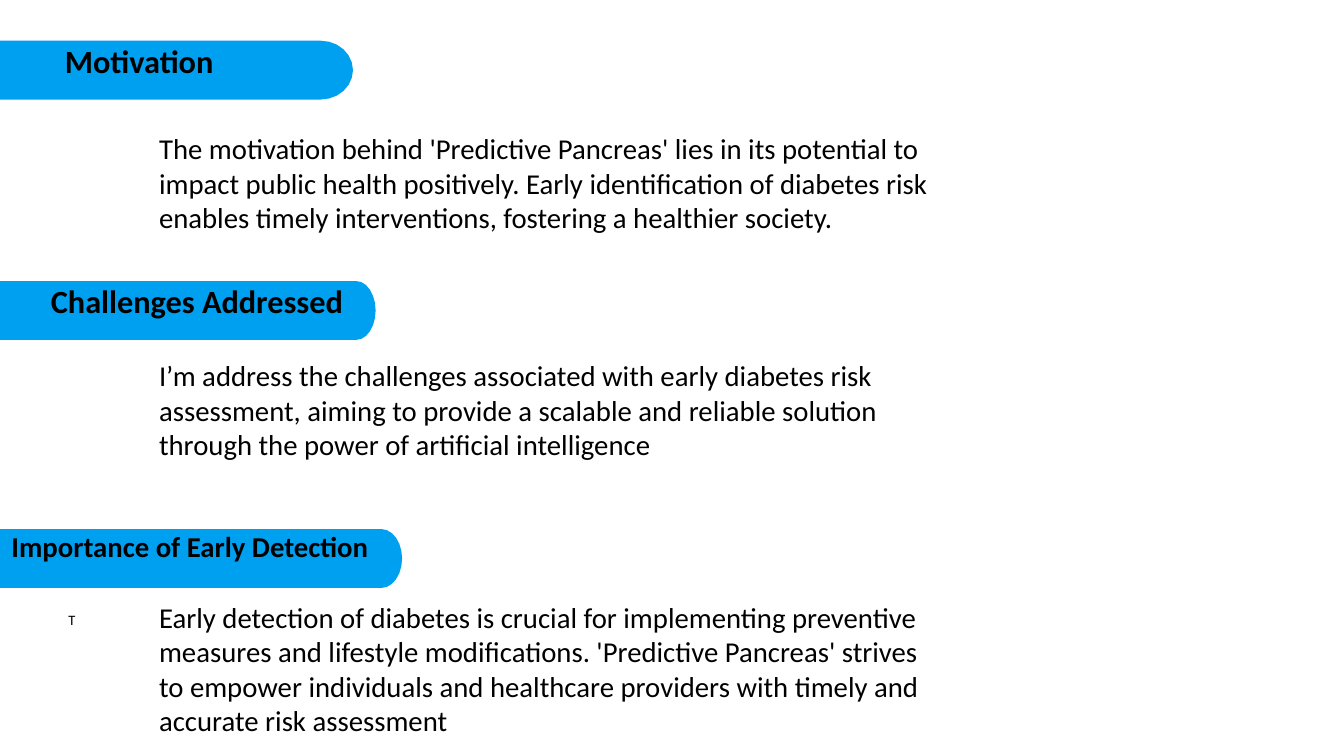
import math

import pptx
import pptx.dml.color
import pptx.enum.text
import pptx.util

Cm = pptx.util.Cm
Pt = pptx.util.Pt
BANNER_HEIGHT = 2.31
ARC_STEPS = 12

# title, size, left, top, width, cap radius, text indent (cm)
BANNERS = [
    ("Motivation", 36, -0.05, 1.6, 13.92, 1.27, 2.6),
    ("Challenges Addressed", 36, 0, 11.04, 14.76, 0.76, 2),
    ("Importance of Early Detection", 32, -0.05, 20.78, 15.85, 0.81, 0.5),
]

# text, top, width, height (cm)
BODIES = [
    ("The motivation behind 'Predictive Pancreas' lies in its potential to "
     "impact public health positively. Early identification of diabetes risk "
     "enables timely interventions, fostering a healthier society.",
     5.03, 33.58, 4.37),
    ("I’m address the challenges associated with early diabetes risk "
     "assessment, aiming to provide a scalable and reliable solution "
     "through the power of artificial intelligence",
     13.94, 31.09, 4.37),
    ("Early detection of diabetes is crucial for implementing preventive "
     "measures and lifestyle modifications. 'Predictive Pancreas' strives "
     "to empower individuals and healthcare providers with timely and "
     "accurate risk assessment",
     23.42, 31.09, 5.74),
]


def rgb(value):
    return pptx.dml.color.RGBColor.from_string(value)


def set_text(tf, text, size, bold=False):
    tf.word_wrap = True
    tf.vertical_anchor = pptx.enum.text.MSO_ANCHOR.TOP
    p = tf.paragraphs[0]
    p.text = text
    p.alignment = pptx.enum.text.PP_ALIGN.LEFT
    p.font.name = "Calibri"
    p.font.size = Pt(size)
    p.font.bold = bold
    p.font.color.rgb = rgb("000000")
    return p


def set_margins(tf, left=0, top=0):
    tf.margin_left, tf.margin_top = Cm(left), Cm(top)
    tf.margin_right = tf.margin_bottom = 0


def add_banner(slide, title, size, left, top, width, cap, indent):
    """Add a bar with a square left end and a half-ellipse right end."""
    radius = BANNER_HEIGHT / 2
    center = left + width - cap
    angles = [math.pi * (i / ARC_STEPS - 0.5) for i in range(ARC_STEPS + 1)]
    arc = [(Cm(center + cap * math.cos(a)),
            Cm(top + radius + radius * math.sin(a))) for a in angles]
    builder = slide.shapes.build_freeform(Cm(left), Cm(top))
    builder.add_line_segments(arc + [(Cm(left), Cm(top + BANNER_HEIGHT))])
    sp = builder.convert_to_shape()
    sp.shadow.inherit = False
    sp.fill.solid()
    sp.fill.fore_color.rgb = rgb("00A0F0")
    sp.line.fill.background()
    set_margins(sp.text_frame, left=indent)
    set_text(sp.text_frame, title, size, bold=True)


def add_text_box(slide, left, top, width, height):
    return slide.shapes.add_textbox(
        Cm(left), Cm(top), Cm(width), Cm(height)).text_frame


def add_body(slide, text, top, width, height):
    set_text(add_text_box(slide, 6, top, width, height), text, 32)


def add_small_letter(slide):
    tf = add_text_box(slide, 2.69, 23.98, 46.99, 0.69)
    set_margins(tf, top=0.03)
    p = set_text(tf, "T", 16)
    p.alignment = pptx.enum.text.PP_ALIGN.JUSTIFY
    p.space_before = Pt(1)


def main():
    prs = pptx.Presentation()
    prs.slide_width, prs.slide_height = Cm(52.81), Cm(29.69)
    slide = prs.slides.add_slide(prs.slide_layouts[6])
    for banner in BANNERS:
        add_banner(slide, *banner)
    add_small_letter(slide)
    for body in BODIES:
        add_body(slide, *body)
    prs.save("out.pptx")


if __name__ == "__main__":
    main()
